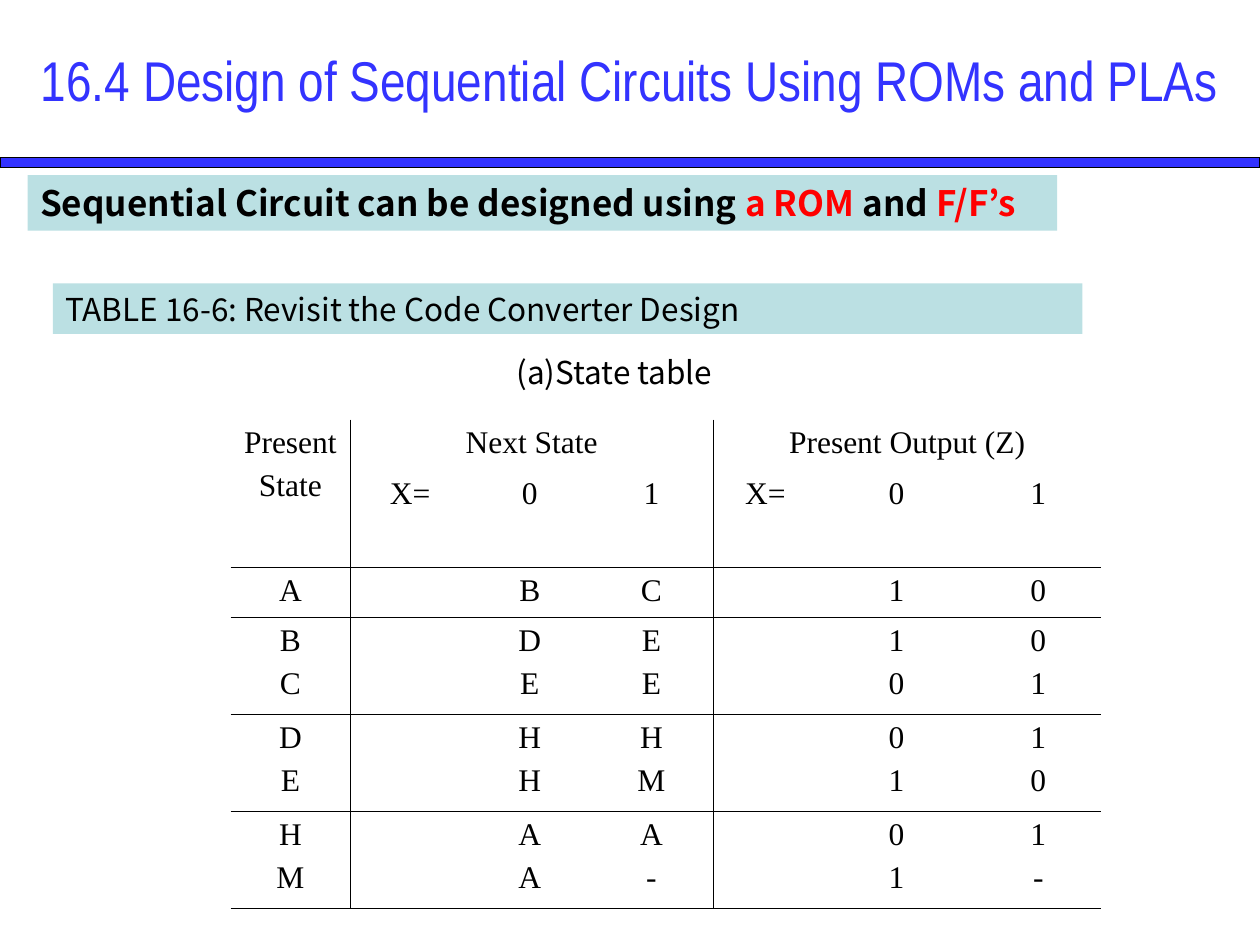
import pptx
import pptx.dml.color
import pptx.enum.shapes
import pptx.enum.text
import pptx.oxml
import pptx.oxml.ns
import pptx.util
from pptx.util import Inches

RGBColor = pptx.dml.color.RGBColor
BLACK = RGBColor(0x00, 0x00, 0x00)
BLUE = RGBColor(0x33, 0x33, 0xFF)
RED = RGBColor(0xFF, 0x00, 0x00)
TEAL = RGBColor(0xBB, 0xE0, 0xE3)
TITLE_FONT, BODY_FONT, TABLE_FONT = "Arial Narrow", "Noto Sans CJK KR", "Times New Roman"
CENTER = pptx.enum.text.PP_ALIGN.CENTER
LEFT = pptx.enum.text.PP_ALIGN.LEFT
TOP = pptx.enum.text.MSO_ANCHOR.TOP
MIDDLE = pptx.enum.text.MSO_ANCHOR.MIDDLE

COL_WIDTHS = [0.95, 0.95, 0.95, 0.98, 0.83, 1.25, 1]
ROW_HEIGHTS = [0.4, 0.77, 0.4, 0.77, 0.77, 0.77]
STATE_TABLE = [
    ["Present\nState", "Next State", "", "", "Present Output (Z)", "", ""],
    ["", "X=", "0", "1", "X=", "0", "1"],
    ["A", "", "B", "C", "", "1", "0"],
    ["B\nC", "", "D\nE", "E\nE", "", "1\n0", "0\n1"],
    ["D\nE", "", "H\nH", "H\nM", "", "0\n1", "1\n0"],
    ["H\nM", "", "A\nA", "A\n-", "", "0\n1", "1\n-"],
]
MERGES = [(0, 0, 1, 0), (0, 1, 0, 3), (0, 4, 0, 6)]


class SlideBuilder:
    """Draws styled elements on the current slide."""

    def __init__(self, slide):
        self.slide = slide

    def add_runs(self, p, runs, font, size, bold=False, align=LEFT):
        p.alignment = align
        for text, color in runs:
            r = p.add_run()
            r.text = text
            r.font.name = font
            r.font.size = pptx.util.Pt(size)
            r.font.bold = bold
            r.font.color.rgb = color

    def bar(self, left, top, width, height, fill, line=None):
        sp = self.slide.shapes.add_shape(
            pptx.enum.shapes.MSO_SHAPE.RECTANGLE,
            Inches(left), Inches(top), Inches(width), Inches(height))
        sp.shadow.inherit = False
        sp.fill.solid()
        sp.fill.fore_color.rgb = fill
        if line is None:
            sp.line.fill.background()
        else:
            sp.line.color.rgb = line
            sp.line.width = pptx.util.Pt(0.75)
        return sp

    def banner(self, left, top, width, height, runs, size, bold=False):
        sp = self.bar(left, top, width, height, TEAL)
        tf = sp.text_frame
        tf.word_wrap = True
        tf.vertical_anchor = TOP
        self.add_runs(tf.paragraphs[0], runs, BODY_FONT, size, bold)

    def text(self, left, top, width, height, runs, font, size, align=LEFT, anchor=TOP):
        sp = self.slide.shapes.add_textbox(
            Inches(left), Inches(top), Inches(width), Inches(height))
        tf = sp.text_frame
        tf.word_wrap = True
        tf.vertical_anchor = anchor
        self.add_runs(tf.paragraphs[0], runs, font, size, align=align)

    def border(self, cell, side, visible):
        paint = f'<a:solidFill><a:srgbClr val="{BLACK}"/></a:solidFill>' if visible else "<a:noFill/>"
        width = pptx.util.Pt(0.45)
        ns = pptx.oxml.ns.nsdecls("a")
        ln = pptx.oxml.parse_xml(f'<a:ln{side} {ns} w="{width}">{paint}</a:ln{side}>')
        cell._tc.get_or_add_tcPr().append(ln)

    def table(self, left, top, rows, col_widths, row_heights, merges):
        table = self.slide.shapes.add_table(
            len(rows), len(col_widths), Inches(left), Inches(top),
            Inches(sum(col_widths)), Inches(sum(row_heights))).table
        table.first_row = table.horz_banding = False
        for column, width in zip(table.columns, col_widths):
            column.width = Inches(width)
        for row, height in zip(table.rows, row_heights):
            row.height = Inches(height)
        for r1, c1, r2, c2 in merges:
            table.cell(r1, c1).merge(table.cell(r2, c2))
        for i, row in enumerate(rows):
            for j, value in enumerate(row):
                cell = table.cell(i, j)
                edges = {"L": j in (1, 4), "R": j in (0, 3),
                         "T": i >= 2, "B": i >= 1 or j == 0}
                for side, visible in edges.items():
                    self.border(cell, side, visible)
                cell.fill.background()
                if value:
                    self.fill_cell(cell, value)

    def fill_cell(self, cell, value):
        tf = cell.text_frame
        for k, line in enumerate(value.split("\n")):
            p = tf.add_paragraph() if k else tf.paragraphs[0]
            if k:
                p.space_before = pptx.util.Pt(4.5)
            self.add_runs(p, [(line, BLACK)], TABLE_FONT, 18, align=CENTER)


def main():
    prs = pptx.Presentation()
    prs.slide_width, prs.slide_height = Inches(10), Inches(7.5)
    s = SlideBuilder(prs.slides.add_slide(prs.slide_layouts[6]))
    s.bar(0, 1.25, 10, 0.08, BLUE, BLACK)
    s.text(0, 0, 10, 1.25, [("16.4 Design of Sequential Circuits Using ROMs and PLAs", BLUE)],
           TITLE_FONT, 32, CENTER, MIDDLE)
    s.banner(0.42, 2.25, 8.17, 0.4,
             [("TABLE 16-6: Revisit the Code Converter Design", BLACK)], 18)
    s.table(1.83, 3.33, STATE_TABLE, COL_WIDTHS, ROW_HEIGHTS, MERGES)
    s.text(4, 2.75, 1.92, 0.4, [("(a)State table", BLACK)], BODY_FONT, 18)
    s.banner(0.22, 1.39, 8.17, 0.44,
             [("Sequential Circuit can be designed using ", BLACK), ("a ROM ", RED),
              ("and", BLACK), (" F/F’s", RED)], 20, bold=True)
    prs.save("out.pptx")


if __name__ == "__main__":
    main()
